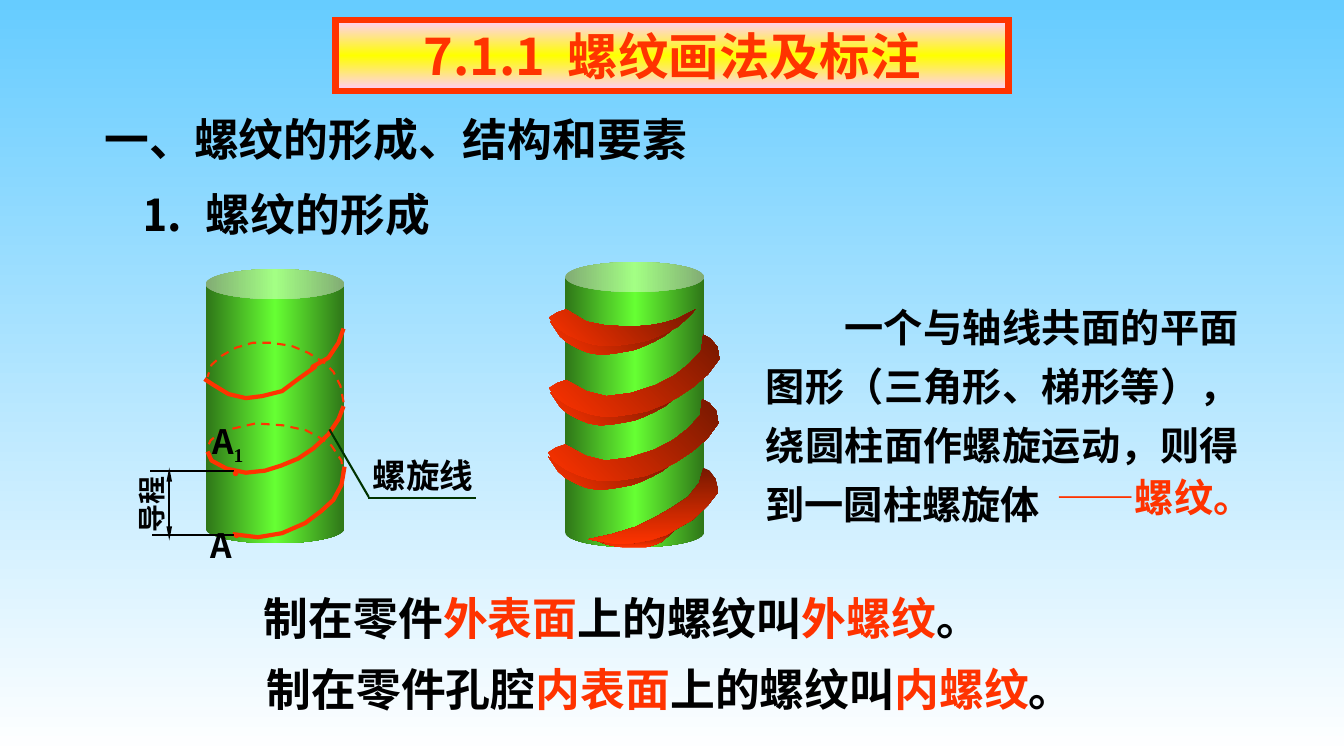
"""Builds the slide on how screw threads form, in hundredths of an inch."""
from lxml.etree import SubElement
from pptx import Presentation
from pptx.dml.color import RGBColor as Rgb
from pptx.enum.dml import MSO_LINE as Dash
from pptx.enum.shapes import MSO_CONNECTOR as Conn, MSO_SHAPE as Kind
from pptx.enum.text import MSO_ANCHOR as Anchor, MSO_AUTO_SIZE as Auto, PP_ALIGN as Align
from pptx.oxml.ns import qn
from pptx.util import Cm, Pt

UNIT = Cm(0.0254)
SANS, SERIF = "Noto Sans CJK SC", "Times New Roman"
HUE = {"black": "000000", "red": "FF3300", "rust": "761800", "pine": "003300",
       "moss": "2F7618", "lime": "66FF33", "pink": "FFCCFF", "gold": "FFFF00",
       "sky": "66CCFF", "white": "FFFFFF"}
L, C, J = Align.LEFT, Align.CENTER, Align.JUSTIFY

TITLE = ((333, 20, 668, 70), C, SANS, 36,
         [("7.1.1", "red"), (" ", "red", SANS, {"spc": "800"}), ("螺纹画法及标注", "red")])
BODY = ((750, 284, 490, 244), J, SANS, 28,
        [("一个与轴线共面的平面图形（三角形、梯形等），绕圆柱面作螺旋运动，则得到一圆柱螺旋体", "black")])
TEXTS = [
    ((94, 106, 630, 64), L, SANS, 32, [("一、螺纹的形成、结构和要素", "black")]),
    ((130, 180, 340, 64), L, SANS, 32,
     [("⒈", "black"), (" ", "black", SANS, {"spc": "720"}), ("螺纹的形成", "black")]),
    ((198, 516, 43, 50), C, SANS, 24, [("A", "black")]),
    ((219, 518, 32, 25), C, SERIF, 9, [("●", "red")]),
    ((197, 412, 58, 56), C, SANS, 24,
     [("A", "black"), ("1", "black", SERIF, {"baseline": "-25000"})]),
    ((218, 456, 32, 25), C, SERIF, 9, [("●", "red")]),
    ((100, 478, 100, 44), C, SERIF, 20, [("导程", "black")], 270),
    ((355, 446, 130, 50), C, SERIF, 24, [("螺旋线", "black")]),
    ((1034, 464, 224, 57), C, SERIF, 28, [("——螺纹。", "red")]),
    ((252, 581, 805, 64), L, SANS, 32,
     [("制在零件", "black"), ("外表面", "red"), ("上的螺纹叫", "black"),
      ("外螺纹", "red"), ("。", "black")]),
    ((255, 651, 860, 64), L, SANS, 32,
     [("制在零件孔腔", "black"), ("内表面", "red"), ("上的螺纹叫", "black"),
      ("内螺纹", "red"), ("。", "black")]),
]
CANS = [(204, 267, 138, 272), (561, 260, 138, 283)]
LINES = [((232, 467), (149, 467), "black", False), ((232, 531), (151, 531), "black", False),
         ((168, 464), (168, 536), "black", True),
         ((327, 426), (366, 493), "pine", False), ((365, 494), (472, 494), "pine", False)]
FRONT = [
    [(231, 530), (256, 533), (280, 529), (303, 519), (319, 507), (331, 496), (339, 481), (342, 463)],
    [(206, 448), (210, 457), (225, 465), (244, 469), (263, 467), (279, 462), (296, 455),
     (311, 445), (326, 431), (336, 416), (341, 403)],
    [(203, 376), (212, 382), (227, 391), (244, 395), (260, 393), (280, 388), (296, 376),
     (313, 364), (310, 364), (326, 355), (336, 340), (341, 326)],
]
BACK = [
    [(341, 475), (339, 457), (329, 442), (317, 434), (304, 427), (281, 422), (254, 420),
     (232, 425), (219, 429), (209, 437), (205, 446)],
    [(341, 399), (338, 383), (331, 369), (322, 360), (306, 350), (289, 343), (268, 340),
     (251, 340), (234, 345), (220, 353), (210, 362), (206, 374)],
]
LIP = [(546, 319), (556, 334), (563, 340), (574, 346), (584, 350), (596, 352), (608, 351),
       (620, 349), (630, 347), (638, 344), (649, 339), (660, 333), (671, 324), (624, 338), (586, 338)]
COIL = [(562, 377), (553, 380), (545, 385), (551, 394), (563, 402), (574, 407), (586, 411),
        (597, 413), (611, 413), (626, 411), (642, 408), (657, 402), (673, 394), (688, 384),
        (703, 371), (714, 356), (712, 344), (705, 336), (698, 332), (696, 348), (684, 361),
        (670, 372), (651, 382), (626, 390), (602, 393), (582, 388)]
START = [(562, 307), (553, 310), (545, 315), (551, 324), (563, 332), (574, 337), (586, 341),
         (597, 343), (611, 343), (626, 341), (642, 338), (657, 332), (673, 324), (686, 312),
         (690, 307), (673, 316), (660, 320), (644, 323), (627, 324), (602, 323), (582, 319)]
FOOT = [(656, 538), (662, 533), (671, 525), (619, 540), (591, 536), (602, 540), (611, 542),
        (618, 543), (633, 543), (641, 543), (648, 541)]
LAST = [(612, 540), (628, 539), (645, 536), (661, 531), (671, 525), (687, 516), (702, 502),
        (713, 488), (710, 475), (704, 467), (698, 464), (694, 479), (683, 493), (668, 503),
        (649, 514), (630, 523), (607, 530), (584, 535)]
RISE, FALL = (("red", "rust"), 315), (("rust", "red"), 90)
THREAD = [(LIP, (-2, 134), RISE), (COIL, (-1, 64), RISE), (LIP, (0, 70), RISE),
          (COIL, (0, 0), RISE), (LIP, (0, 0), RISE), (START, (0, 0), RISE),
          (FOOT, (0, 0), FALL), (LAST, (0, 0), FALL)]


def tint(name):
    return Rgb.from_string(HUE[name])


def apply(item, form):
    for key, val in form.items():
        setattr(item, key, val)


def mark(node, form):
    for key, val in form.items():
        node.set(key, val)


def grade(fill, node, hues, turn):
    fill.gradient()
    stops = next(node.iter(qn("a:gsLst")))
    for stop in list(stops):
        stops.remove(stop)
    for i, hue in enumerate(hues):
        stop = SubElement(stops, qn("a:gs"), pos=str(i * 100000 // (len(hues) - 1)))
        SubElement(stop, qn("a:srgbClr"), val=HUE[hue])
    next(node.iter(qn("a:lin"))).set("ang", str(turn * 60000))


def write(box, at, align, face, size, runs, turn=0):
    frame = box.text_frame
    apply(frame, {"word_wrap": True, "auto_size": Auto.NONE, "vertical_anchor": Anchor.MIDDLE})
    apply(box, dict(zip(("left", "top", "width", "height"), (v * UNIT for v in at))))
    box.rotation = turn
    para = frame.paragraphs[0]
    apply(para, {"alignment": align, "space_before": Pt(0)})
    for text, hue, *more in runs:
        name, extra = more or (face, {})
        run = para.add_run()
        run.text = text
        run.font.color.rgb = tint(hue)
        apply(run.font, {"size": Pt(size), "bold": True, "name": name})
        props = list(box.element.iter(qn("a:rPr")))[-1]
        SubElement(props, qn("a:ea"), typeface=SANS)
        mark(props, extra)
    return para


def trace(shapes, pts, close):
    pen = shapes.build_freeform(*pts[0], scale=UNIT)
    pen.add_line_segments(pts[1:], close=close)
    form = pen.convert_to_shape()
    form.shadow.inherit = False
    return form


def main():
    deck = Presentation()
    apply(deck, {"slide_width": 1334 * UNIT, "slide_height": 750 * UNIT})
    slide = deck.slides.add_slide(deck.slide_layouts[1])
    shapes = slide.shapes
    grade(slide.background.fill, slide.element, ("sky", "white"), 90)

    title, body = shapes.title, slide.placeholders[1]
    write(title, *TITLE)
    grade(title.fill, title.element, ("pink", "gold", "pink"), 90)
    title.line.color.rgb = tint("red")
    title.line.width = Pt(4.5)
    SubElement(next(title.element.iter(qn("a:ln"))), qn("a:miter"), lim="800000")
    para = write(body, *BODY)
    para.line_spacing = 1.25
    props = next(body.element.iter(qn("a:pPr")))
    mark(props, {"marL": "0", "indent": str(Pt(56))})
    SubElement(props, qn("a:buNone"))

    for at in CANS:
        can = shapes.add_shape(Kind.CAN, *(v * UNIT for v in at))
        can.adjustments[0] = 0.215
        can.shadow.inherit = False
        can.line.fill.background()
        grade(can.fill, can.element, ("moss", "lime", "moss"), 0)

    for curves, width, dash in ((BACK, 1.5, Dash.DASH), (FRONT, 3, Dash.SOLID)):
        for pts in curves:
            helix = trace(shapes, pts, False)
            helix.fill.background()
            helix.line.color.rgb = tint("red")
            apply(helix.line, {"width": Pt(width), "dash_style": dash})

    for pts, (dx, dy), (hues, turn) in THREAD:
        part = trace(shapes, [(x + dx, y + dy) for x, y in pts], True)
        part.line.fill.background()
        grade(part.fill, part.element, hues, turn)

    for start, end, hue, heads in LINES:
        line = shapes.add_connector(Conn.STRAIGHT, *(v * UNIT for v in start + end))
        line.line.color.rgb = tint(hue)
        line.line.width = Pt(1.5)
        stroke = next(line.element.iter(qn("a:ln")))
        for tag in ("a:headEnd", "a:tailEnd") if heads else ():
            SubElement(stroke, qn(tag), type="triangle", w="sm", len="lg")
        SubElement(stroke.getparent(), qn("a:effectLst"))

    for text in TEXTS:
        write(shapes.add_textbox(0, 0, 0, 0), *text)
    deck.save("out.pptx")


if __name__ == "__main__":
    main()
